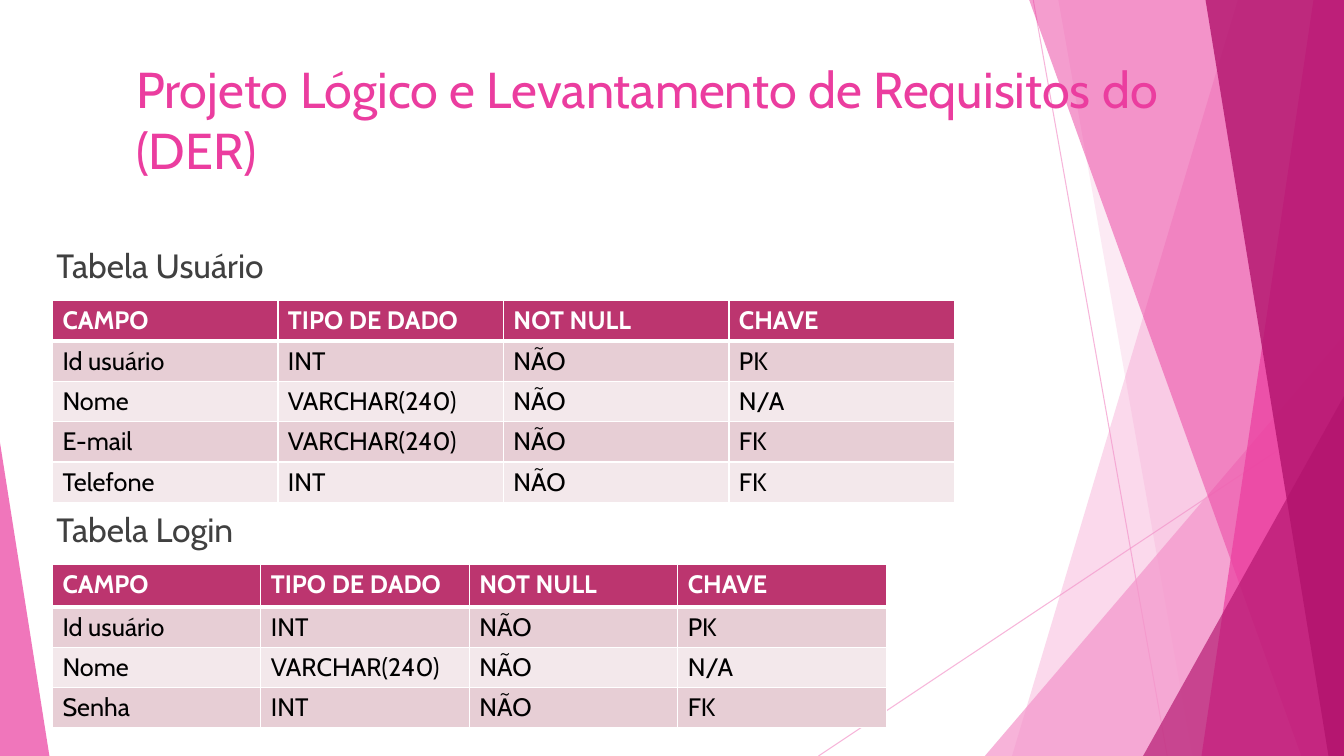
from pptx import Presentation
from pptx.dml.color import RGBColor
from pptx.enum.shapes import MSO_CONNECTOR as Link, MSO_SHAPE as Shape
from pptx.enum.text import MSO_ANCHOR as Anchor
from pptx.oxml import parse_xml
from pptx.oxml.ns import nsdecls
from pptx.util import Inches, Pt

PALE, PINK, DEEP = "F496CB", "EB3D9F", "B2136D"
HEAD, BANDS = "BC356F", ("E7CED5", "F3E8EB")
WHITE, BLACK, GRAY = "FFFFFF", "000000", "404040"


def rgb(code):
    return RGBColor.from_string(code)


class Board:
    """Draws on one slide; all lengths are percent of its width or height."""

    font = "Cabin"

    def __init__(self, deck):
        self.wide, self.high = deck.slide_width, deck.slide_height
        self.slide = deck.slides.add_slide(deck.slide_layouts[6])
        self.shapes = self.slide.shapes
        back = self.slide.background.fill
        back.solid()
        back.fore_color.rgb = rgb(WHITE)

    def x(self, part):
        return round(self.wide * part / 100)

    def y(self, part):
        return round(self.high * part / 100)

    def box(self, left, top, width, height):
        return self.x(left), self.y(top), self.x(width), self.y(height)

    def fade(self, fill, code, alpha):
        fill.solid()
        fill.fore_color.rgb = rgb(code)
        tint = fill._xPr.find(".//{*}srgbClr")
        tint.append(parse_xml(f'<a:alpha {nsdecls("a")} val="{alpha * 1000}"/>'))

    def paint(self, shape, code, alpha):
        shape.shadow.inherit = False
        shape.line.fill.background()
        self.fade(shape.fill, code, alpha)

    def line(self, x1, y1, x2, y2):
        link = self.shapes.add_connector(
            Link.STRAIGHT, self.x(x1), self.y(y1), self.x(x2), self.y(y2))
        link.line.width = Pt(0.75)
        self.fade(link.line.fill, PALE, 70)
        link._element.spPr.append(parse_xml(f'<a:effectLst {nsdecls("a")}/>'))

    def blade(self, top, base, code, alpha):
        """Fills from a slanted edge to the right side of the slide."""
        pen = self.shapes.build_freeform(self.x(top), 0)
        pen.add_line_segments([(self.wide, 0), (self.wide, self.high),
                               (self.x(base), self.high)])
        self.paint(pen.convert_to_shape(), code, alpha)

    def wedge(self, left, top, width, peak, code, alpha):
        """Right triangle standing on the lower edge of the slide."""
        shape = self.shapes.add_shape(
            Shape.ISOSCELES_TRIANGLE, *self.box(left, top, width, 100 - top))
        shape.adjustments[0] = peak
        self.paint(shape, code, alpha)

    def run(self, para, text, size, code, bold=False):
        run = para.add_run()
        run.text = text
        run.font.name, run.font.size, run.font.bold = self.font, Pt(size), bold
        run.font.color.rgb = rgb(code)

    def text(self, place, text, size, code, anchor=Anchor.TOP, before=0):
        frame = self.shapes.add_textbox(*self.box(*place)).text_frame
        frame.word_wrap = True
        frame.vertical_anchor = anchor
        para = frame.paragraphs[0]
        para.space_before = Pt(before)
        self.run(para, text, size, code)

    def edge(self, cell, **widths):
        props = cell._tc.get_or_add_tcPr()
        for side in "LRTB":
            props.append(parse_xml(
                f'<a:ln{side} {nsdecls("a")} w="{Pt(widths.get(side, 1))}">'
                f'<a:solidFill><a:srgbClr val="{WHITE}"/></a:solidFill>'
                f'</a:ln{side}>'))

    def table(self, left, top, col, first, row, data):
        count, cols = len(data), len(data[0])
        place = self.box(left, top, col * cols, first + row * (count - 1))
        grid = self.shapes.add_table(count, cols, *place).table
        for part in grid.columns:
            part.width = self.x(col)
        for r, words in enumerate(data):
            grid.rows[r].height = self.y(row if r else first)
            for c, word in enumerate(words):
                cell = grid.cell(r, c)
                self.edge(cell, T=3 if r == 1 else 1, B=1 if r else 3)
                cell.fill.solid()
                cell.fill.fore_color.rgb = rgb(BANDS[(r - 1) % 2] if r else HEAD)
                self.run(cell.text_frame.paragraphs[0], word, 18,
                         BLACK if r else WHITE, bold=not r)


def main():
    deck = Presentation()
    deck.slide_width, deck.slide_height = Inches(13.333), Inches(7.5)
    board = Board(deck)

    # Backdrop of thin lines and translucent facets
    board.line(76.88, 0, 86.85, 100)
    board.line(100, 53.73, 60.9, 100)
    board.blade(92.1, 75.3, PALE, 36)
    board.blade(78.75, 88.73, PALE, 20)
    board.wedge(73.28, 44.4, 26.72, 1, PALE, 72)
    board.blade(76.58, 96.83, PINK, 50)
    board.blade(97.73, 89.4, PINK, 70)
    board.blade(89.7, 98.85, DEEP, 80)
    board.wedge(85.05, 52.4, 14.95, 1, DEEP, 66)
    board.wedge(0, 58.53, 3.68, 0, PINK, 70)

    # Title
    board.text((9.38, 7.07, 81.23, 25.73),
               "Projeto Lógico e Levantamento de Requisitos do (DER)", 36, PINK)

    # Captions and tables
    head = ("CAMPO", "TIPO DE DADO", "NOT NULL", "CHAVE")
    user = [head,
            ("Id usuário", "INT", "NÃO", "PK"),
            ("Nome", "VARCHAR(240)", "NÃO", "N/A"),
            ("E-mail", "VARCHAR(240)", "NÃO", "FK"),
            ("Telefone", "INT", "NÃO", "FK")]
    login = [head,
             ("Id usuário", "INT", "NÃO", "PK"),
             ("Nome", "VARCHAR(240)", "NÃO", "N/A"),
             ("Senha", "INT", "NÃO", "FK")]
    for name, y, top, col, first, data in (
            ("Tabela Usuário", 30, 39.75, 16.78, 5.33, user),
            ("Tabela Login", 64.93, 74.67, 15.51, 5.6, login)):
        board.text((3.45, y, 34.35, 8.4), name, 24, GRAY, Anchor.BOTTOM, 10)
        board.table(3.9, top, col, first, 5.33, data)

    deck.save("out.pptx")


if __name__ == "__main__":
    main()
